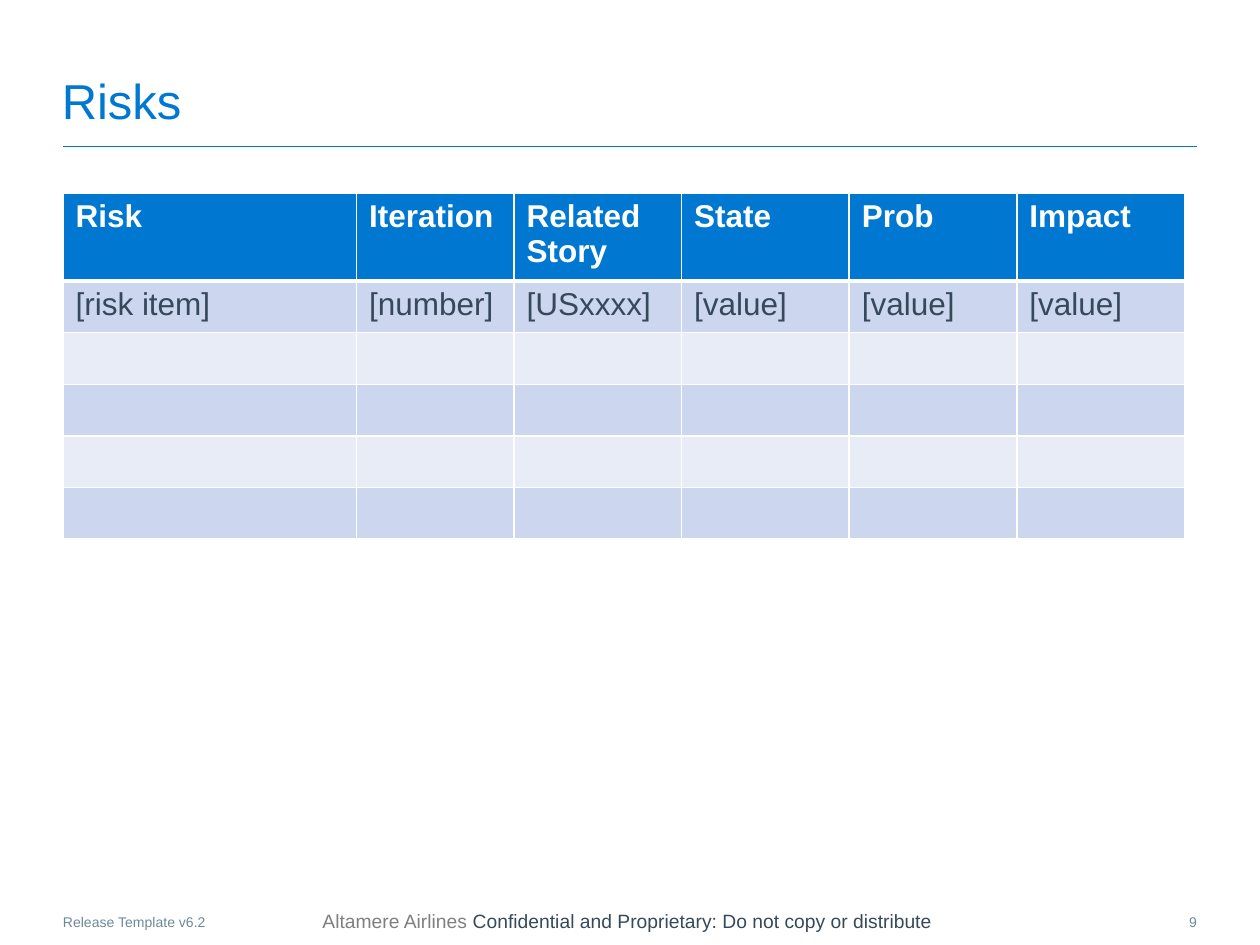
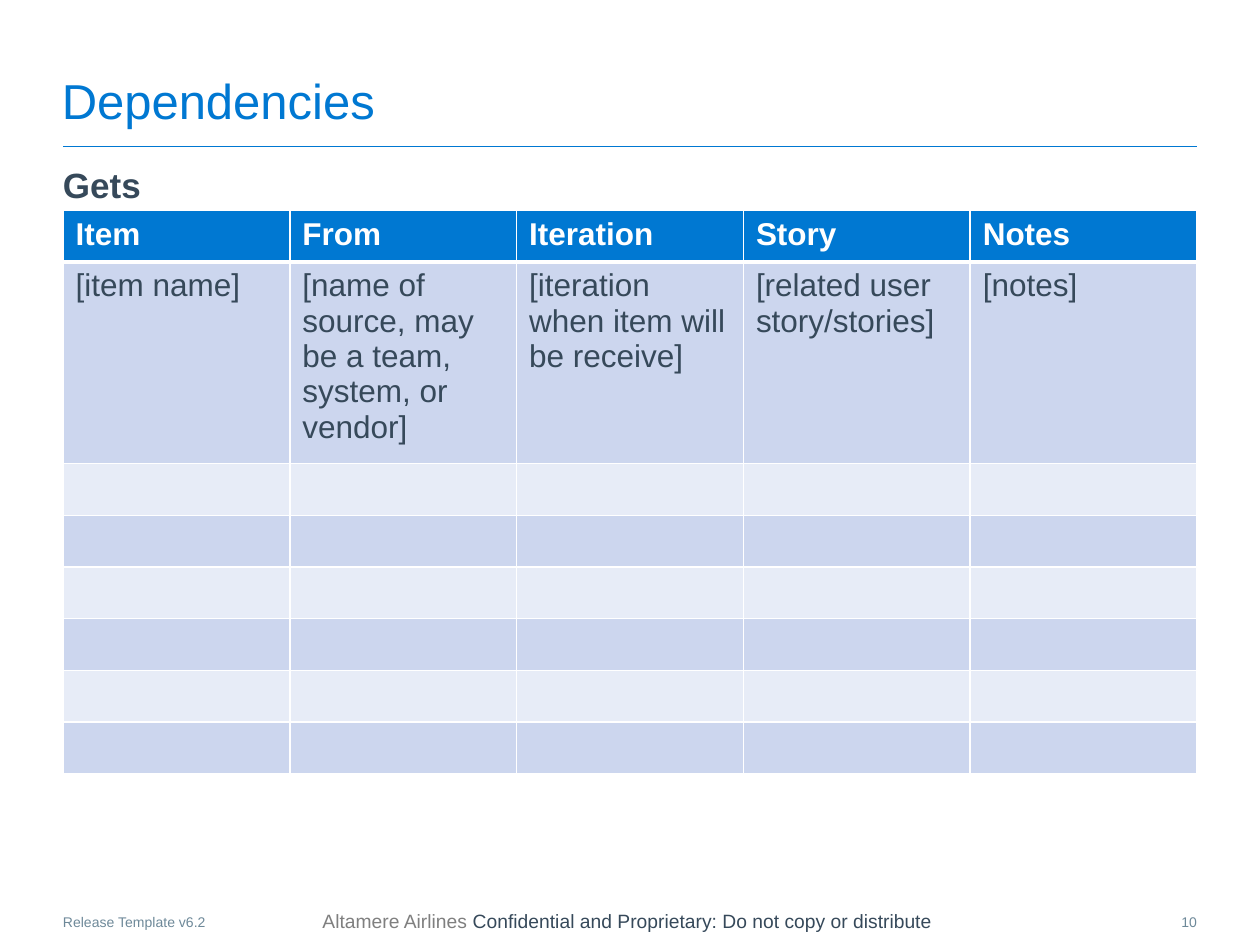
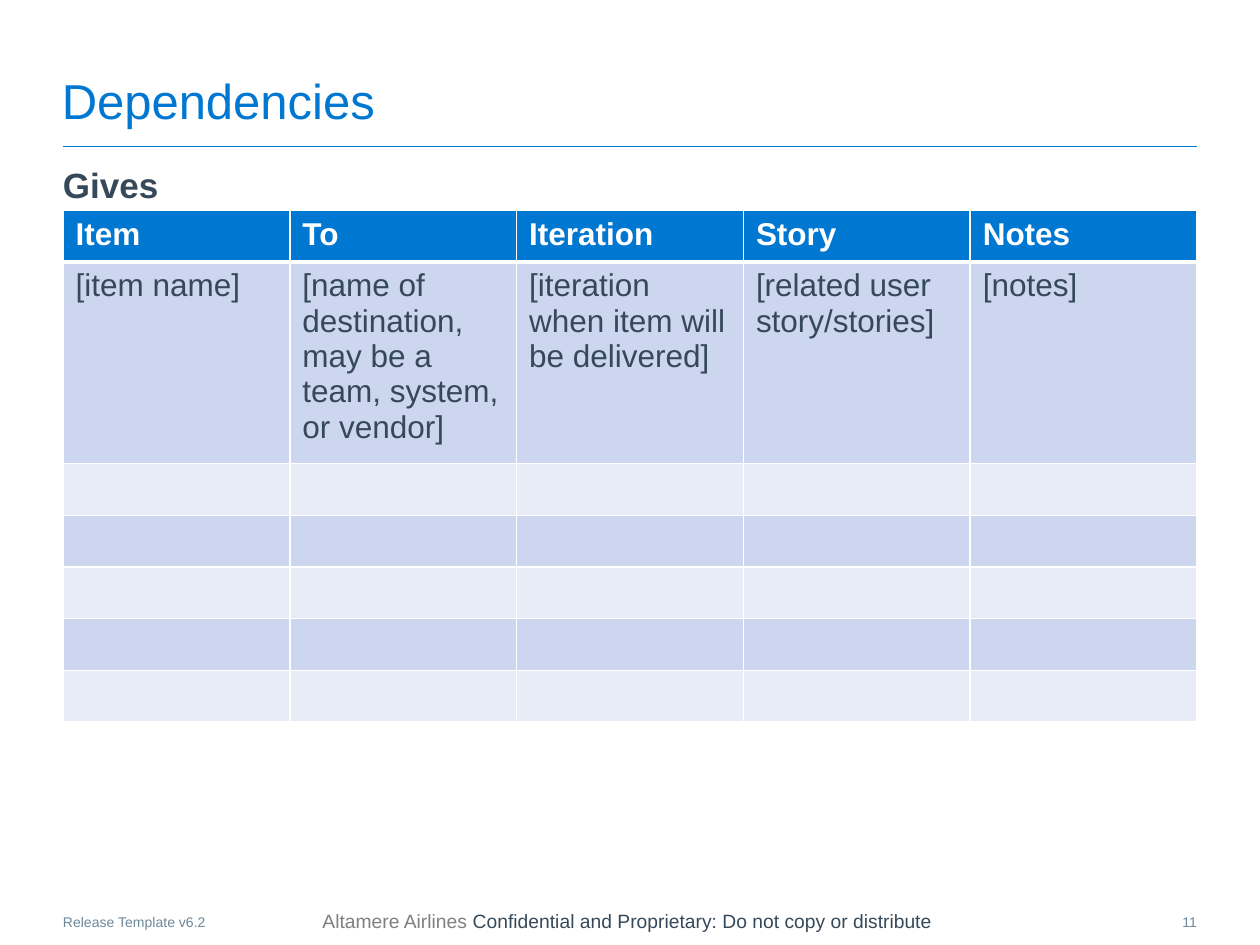
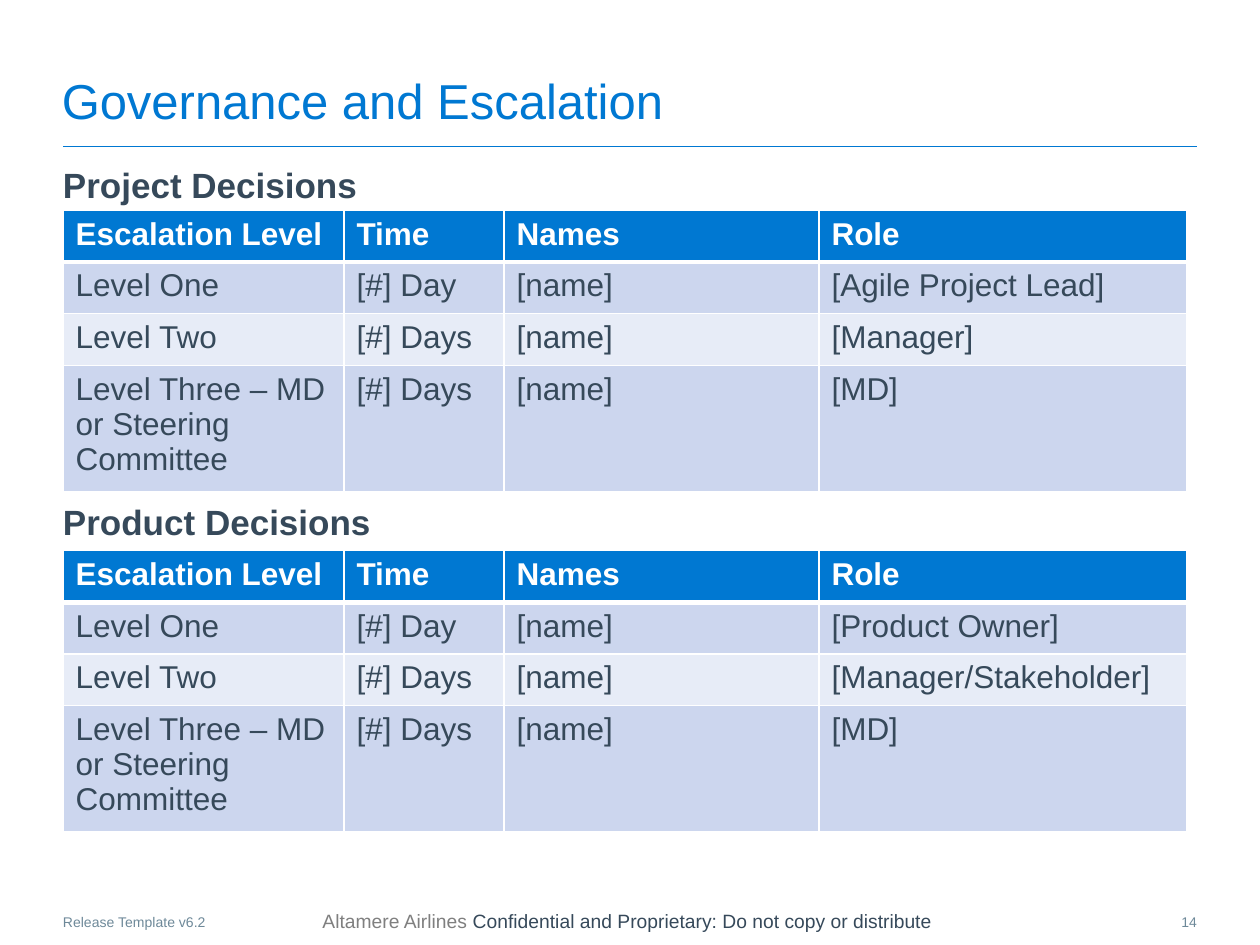
from dataclasses import dataclass

from lxml import etree
from pptx import Presentation
from pptx.dml.color import RGBColor
from pptx.enum.shapes import MSO_CONNECTOR
from pptx.enum.text import MSO_ANCHOR, PP_ALIGN
from pptx.oxml.ns import qn
from pptx.util import Inches, Pt

STRAIGHT = MSO_CONNECTOR.STRAIGHT
LEFT, CENTER, RIGHT = PP_ALIGN.LEFT, PP_ALIGN.CENTER, PP_ALIGN.RIGHT
TOP, MIDDLE, BOTTOM = MSO_ANCHOR.TOP, MSO_ANCHOR.MIDDLE, MSO_ANCHOR.BOTTOM


@dataclass(frozen=True)
class Theme:
    font: str = "Arial"
    accent: str = "0078D2"
    ink: str = "36495A"
    muted: str = "6E8999"
    gray: str = "7F7F7F"
    white: str = "FFFFFF"
    dark_band: str = "CCD6EE"
    light_band: str = "E7ECF7"
    title_size: float = 28
    heading_size: float = 20
    table_size: float = 18
    notice_size: float = 11
    footer_size: float = 8
    rule_width: float = 0.5
    border_width: float = 1
    header_border_width: float = 3


THEME = Theme()
MARGIN = 0.5
CONTENT_WIDTH = 9
ROW_HEIGHT = 0.41
HEADING_HEIGHT = 0.34


@dataclass(frozen=True)
class Span:
    text: str
    size: float
    color: str
    bold: bool = False


@dataclass(frozen=True)
class Area:
    left: float
    top: float
    width: float
    height: float


@dataclass(frozen=True)
class Grid:
    top: float
    height: float
    columns: list[float]
    rows: list[list[str]]
    empty_rows: int = 0


@dataclass(frozen=True)
class Heading:
    text: str
    top: float = 1.3


@dataclass(frozen=True)
class PageContent:
    title: str
    number: int
    headings: list[Heading]
    grids: list[Grid]


def add_spans(para, spans: list[Span]) -> None:
    for span in spans:
        run = para.add_run()
        run.text = span.text
        run.font.name = THEME.font
        run.font.size = Pt(span.size)
        run.font.bold = span.bold
        run.font.color.rgb = RGBColor.from_string(span.color)


def add_text(page, area: Area, spans: list[Span], align=LEFT, anchor=TOP,
             inset: tuple[float, float] = (0, 0), wrap: bool = True) -> None:
    box = page.shapes.add_textbox(Inches(area.left), Inches(area.top),
                                  Inches(area.width), Inches(area.height))
    frame = box.text_frame
    frame.word_wrap = wrap
    frame.vertical_anchor = anchor
    frame.margin_left = frame.margin_right = Inches(inset[0])
    frame.margin_top = frame.margin_bottom = Inches(inset[1])
    para = frame.paragraphs[0]
    para.alignment = align
    add_spans(para, spans)


def add_rule(page) -> None:
    height = Inches(1.16)
    rule = page.shapes.add_connector(STRAIGHT, Inches(MARGIN), height,
                                     Inches(MARGIN + CONTENT_WIDTH), height)
    rule.line.color.rgb = RGBColor.from_string(THEME.accent)
    rule.line.width = Pt(THEME.rule_width)
    etree.SubElement(rule._element.spPr, qn("a:effectLst"))


def add_frame(page, title: str, number: int) -> None:
    add_rule(page)
    add_text(page, Area(2.01, 7.18, 5.94, 0.26),
             [Span("Altamere Airlines ", THEME.notice_size, THEME.gray),
              Span("Confidential and Proprietary: Do not copy or distribute",
                   THEME.notice_size, THEME.ink)],
             CENTER, MIDDLE, (0.1, 0.05), wrap=False)
    add_text(page, Area(0.49, 0.42, 9.01, 0.61),
             [Span(title, THEME.title_size, THEME.accent)], anchor=BOTTOM)
    add_text(page, Area(MARGIN, 7.25, 1.83, 0.14),
             [Span("Release Template v6.2", THEME.footer_size, THEME.muted)])
    add_text(page, Area(9.15, 7.25, 0.35, 0.15),
             [Span(str(number), THEME.footer_size, THEME.muted)], RIGHT)


def add_borders(cell, row_index: int) -> None:
    widths = dict.fromkeys(("lnL", "lnR", "lnT", "lnB"), THEME.border_width)
    if row_index == 0:
        widths["lnB"] = THEME.header_border_width
    elif row_index == 1:
        widths["lnT"] = THEME.header_border_width
    properties = cell._tc.get_or_add_tcPr()
    for side, width in widths.items():
        line = etree.SubElement(properties, qn(f"a:{side}"), w=str(Pt(width)))
        fill = etree.SubElement(line, qn("a:solidFill"))
        etree.SubElement(fill, qn("a:srgbClr"), val=THEME.white)


def add_grid(page, grid: Grid) -> None:
    column_count = len(grid.columns)
    rows = grid.rows + [[""] * column_count] * grid.empty_rows
    frame = page.shapes.add_table(len(rows), column_count, Inches(MARGIN), Inches(grid.top),
                                  Inches(sum(grid.columns)), Inches(grid.height))
    table = frame.table
    table.horz_banding = False
    for column, width in zip(table.columns, grid.columns):
        column.width = Inches(width)
    for row_index, texts in enumerate(rows):
        table.rows[row_index].height = Inches(ROW_HEIGHT)
        is_header = row_index == 0
        band = THEME.dark_band if row_index % 2 else THEME.light_band
        for column_index, text in enumerate(texts):
            cell = table.cell(row_index, column_index)
            add_borders(cell, row_index)
            cell.fill.solid()
            cell.fill.fore_color.rgb = RGBColor.from_string(THEME.accent if is_header else band)
            para = cell.text_frame.paragraphs[0]
            para.font.size = Pt(THEME.table_size)
            if text:
                color = THEME.white if is_header else THEME.ink
                add_spans(para, [Span(text, THEME.table_size, color, is_header)])
    frame.height = Inches(grid.height)


def dependency_page(number: int, heading: str, party: str, party_hint: str,
                    action: str, height: float, empty_rows: int) -> PageContent:
    rows = [["Item", party, "Iteration", "Story", "Notes"],
            ["[item name]", f"[name of {party_hint}, may be a team, system, or vendor]",
             f"[iteration when item will be {action}]", "[related user story/stories]",
             "[notes]"]]
    grid = Grid(1.67, height, [CONTENT_WIDTH / 5] * 5, rows, empty_rows)
    return PageContent("Dependencies", number, [Heading(heading)], [grid])


def escalation_grid(top: float, first_role: str, second_role: str) -> Grid:
    rows = [["Escalation Level", "Time", "Names", "Role"],
            ["Level One", "[#] Day", "[name]", first_role],
            ["Level Two", "[#] Days", "[name]", second_role],
            ["Level Three – MD or Steering Committee", "[#] Days", "[name]", "[MD]"]]
    return Grid(top, 2.22, [2.23, 1.27, 2.5, 2.92], rows)


RISK_ROWS = [["Risk", "Iteration", "Related Story", "State", "Prob", "Impact"],
             ["[risk item]", "[number]", "[USxxxx]"] + ["[value]"] * 3]

PAGES = [
    PageContent("Risks", 9, [],
                [Grid(1.53, 2.73, [2.33, 1.25] + [1.33] * 4, RISK_ROWS, empty_rows=4)]),
    dependency_page(10, "Gets", "From", "source", "receive", 4.44, empty_rows=6),
    dependency_page(11, "Gives", "To", "destination", "delivered", 4.03, empty_rows=5),
    PageContent("Governance and Escalation", 14,
                [Heading("Project Decisions"), Heading("Product Decisions", 3.97)],
                [escalation_grid(1.67, "[Agile Project Lead]", "[Manager]"),
                 escalation_grid(4.37, "[Product Owner]", "[Manager/Stakeholder]")]),
]


def main() -> None:
    deck = Presentation()
    deck.slide_width = Inches(10)
    deck.slide_height = Inches(7.5)
    blank = deck.slide_layouts[6]
    for content in PAGES:
        page = deck.slides.add_slide(blank)
        add_frame(page, content.title, content.number)
        for heading in content.headings:
            add_text(page, Area(MARGIN, heading.top, CONTENT_WIDTH, HEADING_HEIGHT),
                     [Span(heading.text, THEME.heading_size, THEME.ink, True)])
        for grid in content.grids:
            add_grid(page, grid)
    deck.save("out.pptx")


if __name__ == "__main__":
    main()
